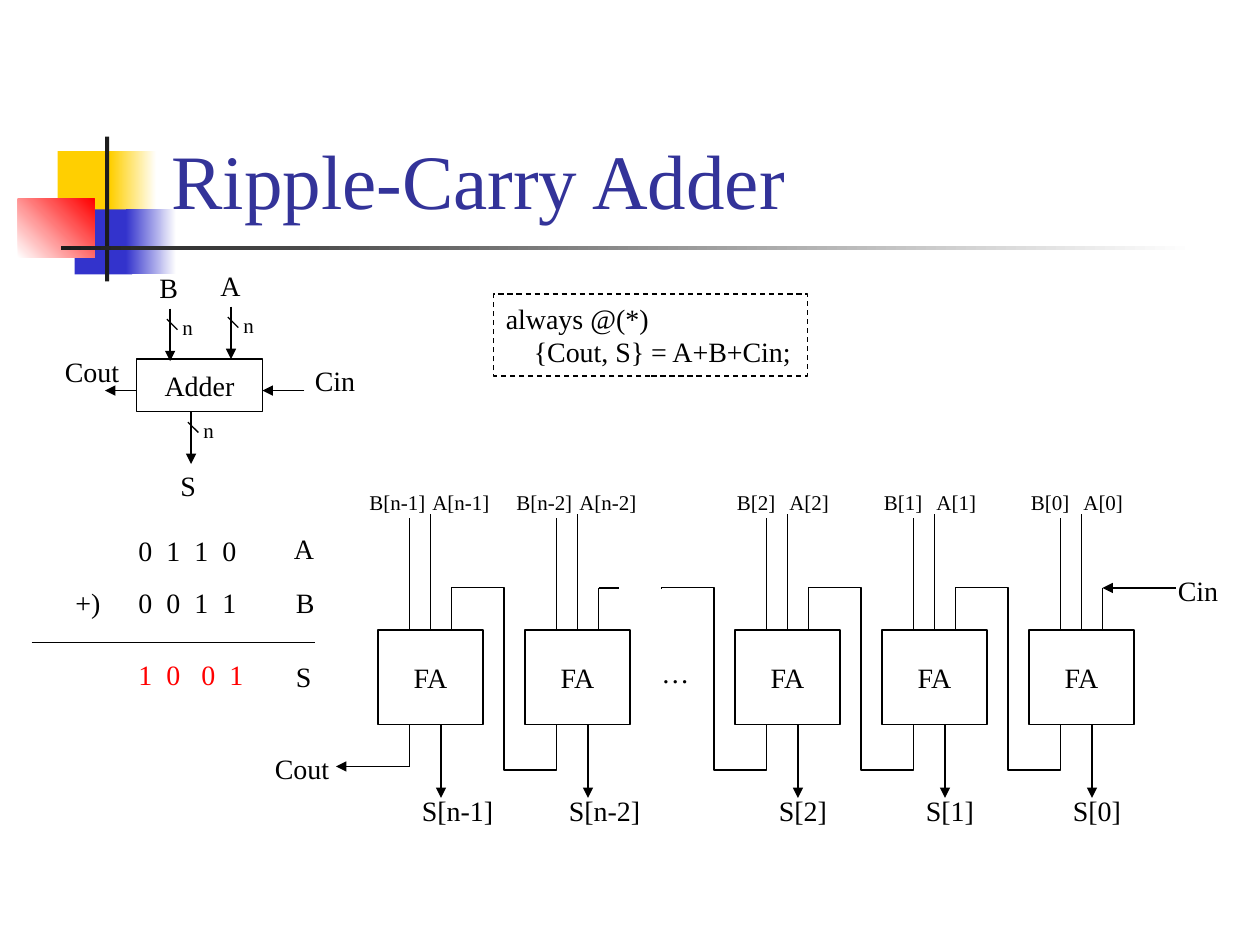
from dataclasses import dataclass
from typing import Any, Optional

import pptx
import pptx.dml.color
import pptx.enum.dml
import pptx.enum.shapes
import pptx.enum.text
import pptx.oxml.ns
import pptx.util
from lxml import etree

RGBColor = pptx.dml.color.RGBColor
ANCHOR = pptx.enum.text.MSO_ANCHOR
ALIGN = pptx.enum.text.PP_ALIGN
CONNECTOR = pptx.enum.shapes.MSO_CONNECTOR
qn = pptx.oxml.ns.qn

BLACK = RGBColor(0x00, 0x00, 0x00)
WHITE = RGBColor(0xFF, 0xFF, 0xFF)
RED = RGBColor(0xFF, 0x00, 0x00)
YELLOW = RGBColor(0xFF, 0xCF, 0x01)
BLUE = RGBColor(0x33, 0x33, 0xCC)
INDIGO = RGBColor(0x33, 0x33, 0x99)
CHARCOAL = RGBColor(0x1C, 0x1C, 0x1C)

GRID_CM = 2.54 / 12
FONT = "Times New Roman"
INPUT_Y, FA_Y, FA_W, FA_H, OUTPUT_Y = 56, 60, 10, 9, 73


@dataclass
class Band:
    x: float
    y: float
    w: float
    h: float
    start: RGBColor
    end: Optional[RGBColor] = None
    angle: float = 0


@dataclass
class Label:
    text: str
    x: float
    y: float
    w: float
    size: int = 16
    color: RGBColor = BLACK
    tabs: tuple[float, ...] = ()


@dataclass
class Stage:
    index: str
    x: float
    b_offset: float
    input_w: float
    sum_w: float
    carry: bool = True


@dataclass
class Bus:
    x: float
    y: float


BANDS = [
    Band(5.5, 14.4, 5.8, 6.2, YELLOW),
    Band(10.5, 14.4, 4.4, 6.2, YELLOW, WHITE),
    Band(7.1, 19.95, 5.5, 6.2, BLUE),
    Band(12, 19.95, 4.8, 6.2, BLUE, WHITE),
    Band(1.7, 18.95, 7.3, 5.6, WHITE, RED, 45),
    Band(10, 13, 0.4, 13.8, CHARCOAL),
    Band(5.8, 23.4, 108, 0.4, CHARCOAL, WHITE),
]

STAGES = [
    Stage("0", 98, -1, 6.3, 7.2),
    Stage("1", 84, -1, 6.3, 7.2),
    Stage("2", 70, -1, 6.3, 7.2),
    Stage("n-2", 50, -2, 7.9, 9.3),
    Stage("n-1", 36, -2, 7.9, 9.3, carry=False),
]

BUSES = [Bus(22, 29.2), Bus(16.2, 29.4), Bus(18.2, 39.2)]

DIGIT_TABS = (2.67, 5.33, 8)
LABELS = [
    Label("…", 61.8, 61.8, 5),
    Label("Cin", 111, 54, 6.6),
    Label("Cout", 25, 71, 7.8),
    Label("A", 19.8, 25, 4.3),
    Label("B", 14, 25.2, 4.2),
    Label("S", 16, 44, 3.8),
    Label("Cin", 28.8, 34, 6.6),
    Label("Cout", 5, 33.2, 7.8),
    Label("0\t1\t1\t0", 12, 50.2, 13, tabs=DIGIT_TABS),
    Label("0\t0\t1\t1", 12, 55.2, 13, tabs=DIGIT_TABS),
    Label("1\t0\t0\t1", 12, 62, 13, color=RED, tabs=(2.67, 6, 8.67)),
    Label("+)", 6, 55.2, 4.9),
    Label("A", 26.8, 50, 4.3),
    Label("B", 27, 55.2, 4.2),
    Label("S", 27, 62.2, 3.8),
]


def grid(*values: float) -> list[int]:
    return [pptx.util.Cm(v * GRID_CM) for v in values]


def write(tf: Any, lines: list[str], size: int, color: RGBColor, align: Any, **frame: Any) -> None:
    for key, value in frame.items():
        setattr(tf, key, value)
    for i, line in enumerate(lines):
        p = tf.paragraphs[0] if i == 0 else tf.add_paragraph()
        p.alignment = align
        r = p.add_run()
        r.text = line
        for key, value in {"name": FONT, "size": pptx.util.Pt(size)}.items():
            setattr(r.font, key, value)
        r.font.color.rgb = color


def add_band(s: Any, band: Band) -> None:
    sp = s.shapes.add_shape(pptx.enum.shapes.MSO_SHAPE.RECTANGLE, *grid(band.x, band.y, band.w, band.h))
    sp.shadow.inherit = False
    sp.line.fill.background()
    if band.end is None:
        sp.fill.solid()
        sp.fill.fore_color.rgb = band.start
        return
    sp.fill.gradient()
    sp.fill.gradient_angle = band.angle
    for stop, color, position in zip(sp.fill.gradient_stops, (band.start, band.end), (0, 1)):
        stop.color.rgb = color
        stop.position = position


def add_box(s: Any, x: float, y: float, w: float, h: float, lines: list[str], align: Any = ALIGN.CENTER) -> Any:
    sp = s.shapes.add_shape(pptx.enum.shapes.MSO_SHAPE.RECTANGLE, *grid(x, y, w, h))
    sp.shadow.inherit = False
    sp.fill.background()
    sp.line.color.rgb = BLACK
    sp.line.width = pptx.util.Pt(0.75)
    write(sp.text_frame, lines, 16, BLACK, align, word_wrap=False, vertical_anchor=ANCHOR.MIDDLE)
    return sp


def add_label(s: Any, label: Label) -> None:
    sp = s.shapes.add_textbox(*grid(label.x, label.y, label.w, 1.2 + 0.2 * label.size))
    write(sp.text_frame, [label.text], label.size, label.color, ALIGN.LEFT, word_wrap=bool(label.tabs))
    if label.tabs:
        pPr = sp.text_frame.paragraphs[0]._p.get_or_add_pPr()
        tab_list = etree.SubElement(pPr, qn("a:tabLst"))
        for pos in grid(*label.tabs):
            etree.SubElement(tab_list, qn("a:tab"), pos=str(pos), algn="l")


def add_line(s: Any, x1: float, y1: float, x2: float, y2: float, arrow: bool = False,
             kind: Any = CONNECTOR.STRAIGHT) -> Any:
    cxn = s.shapes.add_connector(kind, *grid(x1, y1, x2, y2))
    cxn.line.color.rgb = BLACK
    cxn.line.width = pptx.util.Pt(0.75)
    spPr = cxn._element.spPr
    if arrow:
        etree.SubElement(spPr.find(qn("a:ln")), qn("a:tailEnd"), type="triangle")
    etree.SubElement(spPr, qn("a:effectLst"))
    return cxn


def add_carry(s: Any, x: float) -> None:
    mid_y, half_w, half_h = (INPUT_Y + OUTPUT_Y) / 2, (OUTPUT_Y - INPUT_Y) / 2, 5
    cxn = add_line(s, x - half_w, mid_y + half_h, x + half_w, mid_y - half_h, kind=CONNECTOR.ELBOW)
    spPr = cxn._element.spPr
    spPr.find(qn("a:xfrm")).set("rot", "16200000")
    geom = spPr.find(qn("a:prstGeom"))
    geom.set("prst", "bentConnector5")
    guides = geom.find(qn("a:avLst"))
    for i, value in enumerate((-2000, 50000, 100200), 1):
        etree.SubElement(guides, qn("a:gd"), name=f"adj{i}", fmla=f"val {value}")


def add_stage(s: Any, st: Stage) -> None:
    fa = add_box(s, st.x, FA_Y, FA_W, FA_H, ["FA"])
    for dx in (3, 5, 7):
        cxn = add_line(s, st.x + dx, FA_Y, st.x + dx, INPUT_Y)
        if dx == FA_W / 2:
            cxn.begin_connect(fa, 0)
    for dx in (3, 6):
        add_line(s, st.x + dx, OUTPUT_Y, st.x + dx, FA_Y + FA_H)
    if st.carry:
        add_carry(s, st.x - 2)
    add_line(s, st.x + 5, INPUT_Y, st.x + 5, 49)
    add_line(s, st.x + 3, INPUT_Y + 0.3, st.x + 3, 49.3)
    add_line(s, st.x + 6, OUTPUT_Y, st.x + 6, 76, arrow=True)
    add_label(s, Label(f"A[{st.index}]", st.x + 4, 46, st.input_w, 12))
    add_label(s, Label(f"B[{st.index}]", st.x + st.b_offset, 46, st.input_w, 12))
    add_label(s, Label(f"S[{st.index}]", st.x + 3, 75, st.sum_w))


def add_bus(s: Any, bus: Bus) -> None:
    add_line(s, bus.x, bus.y, bus.x, bus.y + 5, arrow=True)
    add_line(s, bus.x - 0.3, bus.y + 1, bus.x + 0.7, bus.y + 2)
    add_label(s, Label("n", bus.x, bus.y, 3.4, 12))


def main() -> None:
    prs = pptx.Presentation()
    prs.slide_width, prs.slide_height = pptx.util.Cm(25.4), pptx.util.Cm(19.05)
    s = prs.slides.add_slide(prs.slide_layouts[6])
    for band in BANDS:
        add_band(s, band)
    title = s.shapes.add_textbox(*grid(15.15, 2.8, 102.2, 19.2))
    write(title.text_frame, ["Ripple-Carry Adder"], 44, INDIGO, ALIGN.LEFT,
          word_wrap=True, vertical_anchor=ANCHOR.BOTTOM)
    for stage in STAGES:
        add_stage(s, stage)
    add_line(s, 57, INPUT_Y, 59, INPUT_Y)
    add_box(s, 13, 34.2, 12, 5, ["Adder"])
    for bus in BUSES:
        add_bus(s, bus)
    for x1, x2, y in ((112, 105, INPUT_Y), (39, 32, OUTPUT_Y), (29, 25, 37.2), (13, 10, 37.2)):
        add_line(s, x1, y, x2, y, arrow=True)
    add_line(s, 3, 61.2, 30, 61.2)
    code = add_box(s, 47, 28, 29.9, 7.8, ["always @(*)", "    {Cout, S} = A+B+Cin;"], ALIGN.LEFT)
    code.line.dash_style = pptx.enum.dml.MSO_LINE.DASH
    for label in LABELS:
        add_label(s, label)
    prs.save("out.pptx")


if __name__ == "__main__":
    main()
